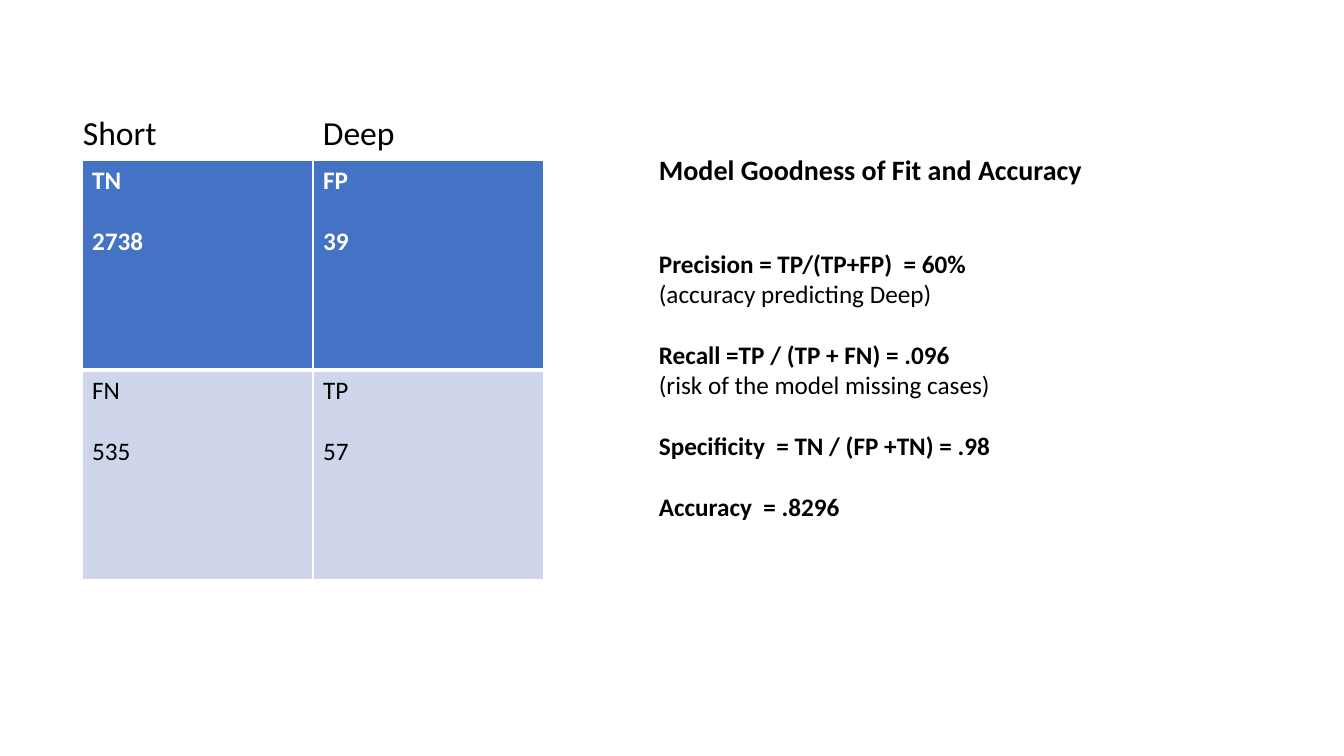
"""Build a slide with a confusion matrix and the model's accuracy measures."""
from lxml.etree import SubElement
from pptx import Presentation
from pptx.dml.color import RGBColor
from pptx.oxml.ns import qn
from pptx.util import Pt

EMU_PER_PIXEL = 914400 / 100.8
FONT = "Calibri"
BLACK = RGBColor(0x00, 0x00, 0x00)
WHITE = RGBColor(0xFF, 0xFF, 0xFF)
BLUE = RGBColor(0x44, 0x72, 0xC4)
PALE_BLUE = RGBColor(0xCF, 0xD5, 0xEA)

MATRIX_LEFT, MATRIX_TOP = 82, 160
CELL_WIDTH, CELL_HEIGHT = 231, 210
LINE_GAP = 22

CLASSES = ["Short", "Deep"]
MATRIX = [
    [("TN", "2738"), ("FP", "39")],
    [("FN", "535"), ("TP", "57")],
]
ROW_STYLES = [(BLUE, WHITE, True), (PALE_BLUE, BLACK, False)]
MEASURES = [
    ("Model Goodness of Fit and Accuracy", 20, True, 0),
    ("Precision = TP/(TP+FP)  = 60%", 18, True, 2),
    ("(accuracy predicting Deep)", 18, False, 0),
    ("Recall =TP / (TP + FN) = .096", 18, True, 1),
    ("(risk of the model missing cases)", 18, False, 0),
    ("Specificity  = TN / (FP +TN) = .98", 18, True, 1),
    ("Accuracy  = .8296", 18, True, 1),
]


def px(pixels):
    """Turn pixels into EMU."""
    return round(pixels * EMU_PER_PIXEL)


def write_lines(frame, lines, color):
    """Write (text, size, bold, skipped lines) entries as paragraphs."""
    for index, (text, size, bold, skipped) in enumerate(lines):
        paragraph = frame.add_paragraph() if index else frame.paragraphs[0]
        paragraph.text = text
        paragraph.space_before = Pt(skipped * LINE_GAP)
        paragraph.font.name = FONT
        paragraph.font.size = Pt(size)
        paragraph.font.bold = bold
        paragraph.font.color.rgb = color


def add_text(slide, left, top, width, height, lines):
    """Add a wrapping text box."""
    box = slide.shapes.add_textbox(px(left), px(top), px(width), px(height))
    box.text_frame.word_wrap = True
    write_lines(box.text_frame, lines, BLACK)


def set_borders(cell, top, bottom):
    """Give a cell white borders, with top and bottom widths in points."""
    properties = cell._tc.get_or_add_tcPr()
    for side, width in (("L", 1), ("R", 1), ("T", top), ("B", bottom)):
        line = SubElement(properties, qn(f"a:ln{side}"), w=str(Pt(width)))
        fill = SubElement(line, qn("a:solidFill"))
        SubElement(fill, qn("a:srgbClr"), val=str(WHITE))


def add_matrix(slide):
    """Add the confusion matrix table."""
    rows, columns = len(MATRIX), len(CLASSES)
    table = slide.shapes.add_table(
        rows, columns, px(MATRIX_LEFT), px(MATRIX_TOP),
        px(columns * CELL_WIDTH), px(rows * CELL_HEIGHT)).table
    for row, (counts, style) in enumerate(zip(MATRIX, ROW_STYLES)):
        background, color, bold = style
        for column, (label, count) in enumerate(counts):
            cell = table.cell(row, column)
            set_borders(cell, 3 if row else 1, 1 if row else 3)
            cell.fill.solid()
            cell.fill.fore_color.rgb = background
            lines = [(label, 18, bold, 0), (count, 18, bold, 1)]
            write_lines(cell.text_frame, lines, color)


def main():
    """Build and save the slide."""
    deck = Presentation()
    deck.slide_width, deck.slide_height = px(1344), px(756)
    slide = deck.slides.add_slide(deck.slide_layouts[6])
    add_matrix(slide)
    for column, name in enumerate(CLASSES):
        add_text(slide, 73 + column * 240, 107, 230, 50, [(name, 24, False, 0)])
    add_text(slide, 649, 148, 561, 499, MEASURES)
    deck.save("out.pptx")


main()
